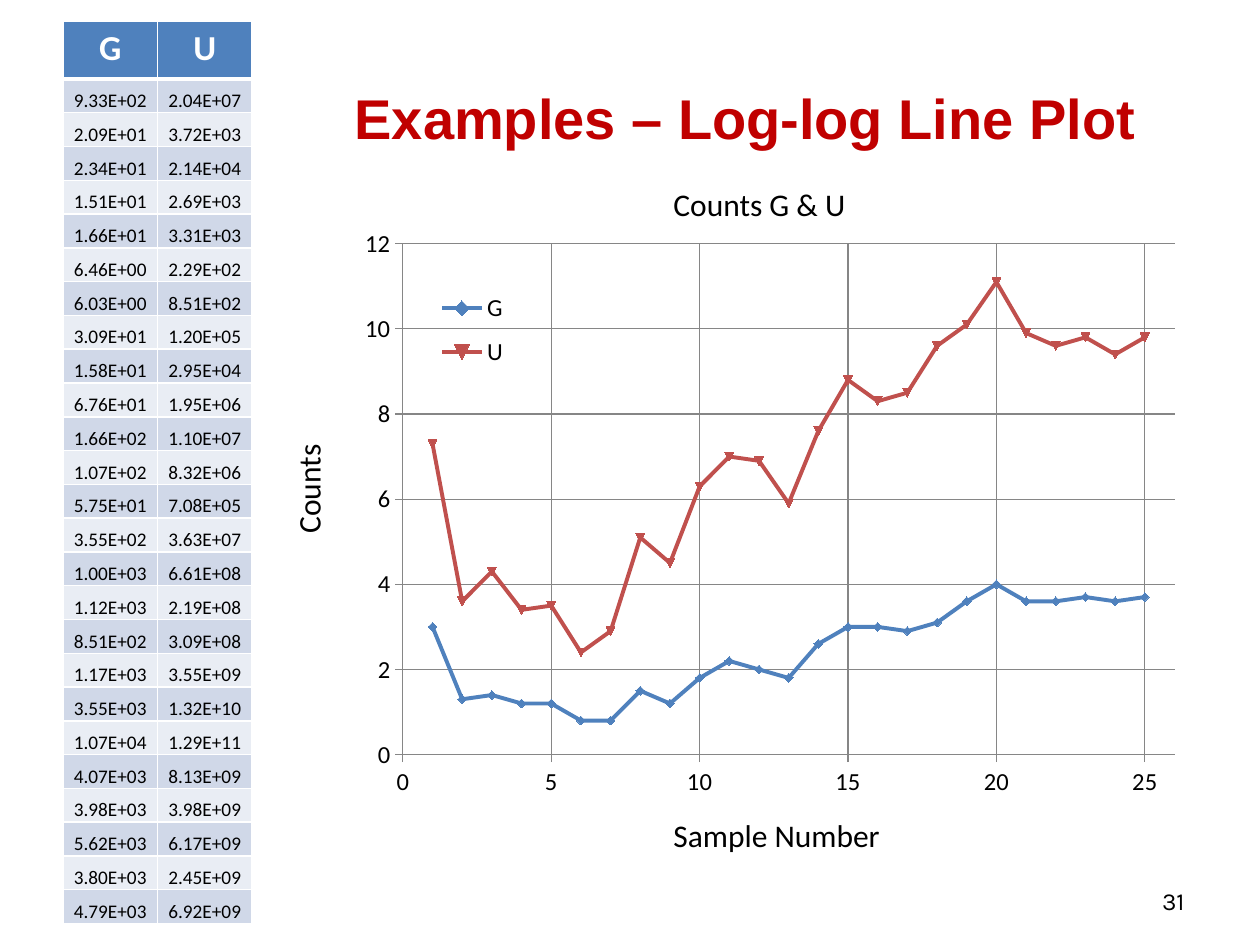
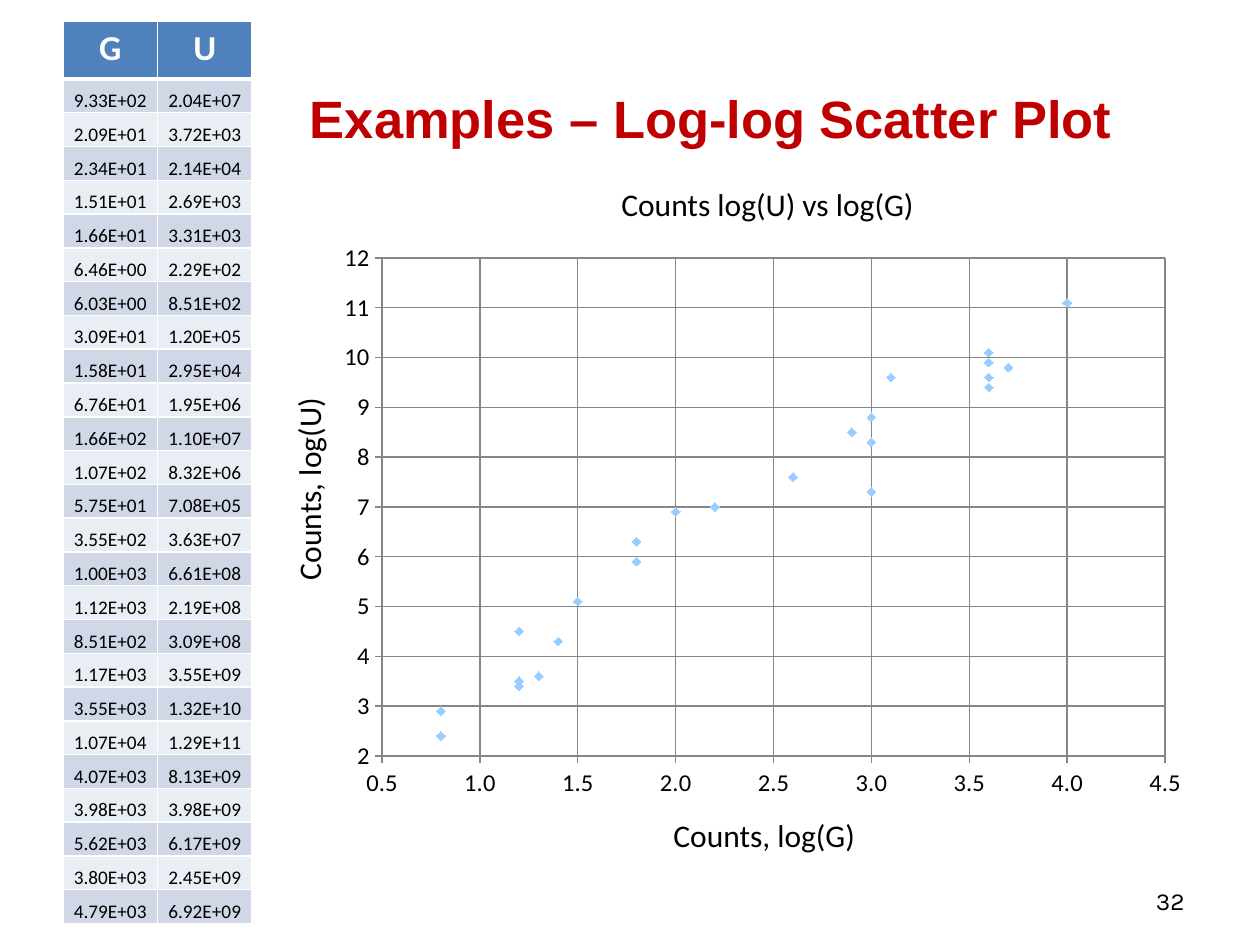
from math import log10

from lxml import etree
from pptx import Presentation
from pptx.chart.data import XyChartData
from pptx.dml.color import RGBColor
from pptx.enum import chart as ch
from pptx.enum import text as tx
from pptx.oxml import parse_xml
from pptx.oxml.ns import nsdecls, qn
from pptx.util import Pt

BLACK, WHITE, RED, GRAY = "000000", "FFFFFF", "C00000", "868686"
BLUE, BRICK, SKY = "4F81BD", "C0504D", "99CCFF"
BANDS = ["D0D8E8", "E9EDF4"]
BODY = "Calibri"
LEFT, MID, RIGHT = tx.PP_ALIGN.LEFT, tx.PP_ALIGN.CENTER, tx.PP_ALIGN.RIGHT

COUNTS = [
    ("9.33E+02", "2.04E+07"), ("2.09E+01", "3.72E+03"), ("2.34E+01", "2.14E+04"),
    ("1.51E+01", "2.69E+03"), ("1.66E+01", "3.31E+03"), ("6.46E+00", "2.29E+02"),
    ("6.03E+00", "8.51E+02"), ("3.09E+01", "1.20E+05"), ("1.58E+01", "2.95E+04"),
    ("6.76E+01", "1.95E+06"), ("1.66E+02", "1.10E+07"), ("1.07E+02", "8.32E+06"),
    ("5.75E+01", "7.08E+05"), ("3.55E+02", "3.63E+07"), ("1.00E+03", "6.61E+08"),
    ("1.12E+03", "2.19E+08"), ("8.51E+02", "3.09E+08"), ("1.17E+03", "3.55E+09"),
    ("3.55E+03", "1.32E+10"), ("1.07E+04", "1.29E+11"), ("4.07E+03", "8.13E+09"),
    ("3.98E+03", "3.98E+09"), ("5.62E+03", "6.17E+09"), ("3.80E+03", "2.45E+09"),
    ("4.79E+03", "6.92E+09"),
]
LOG_G, LOG_U = ([round(log10(float(n)), 1) for n in col] for col in zip(*COUNTS))


def px(n):
    """Turn pixels into EMU at 126 to the inch."""
    return round(n * 914400 / 126)


def rgb(code):
    """Turn a hex string into a colour."""
    return RGBColor.from_string(code)


def style(font, size, color=BLACK, name=BODY, bold=False):
    """Set the look of a font."""
    font.size, font.name, font.bold = Pt(size), name, bold
    font.color.rgb = rgb(color)


def label(slide, box, words, size=18, color=BLACK, name=BODY, bold=False,
          align=LEFT, anchor=tx.MSO_ANCHOR.TOP, wrap=True, turn=0, inset=0):
    """Add a line of text in a box."""
    shape = slide.shapes.add_textbox(*map(px, box))
    shape.rotation = turn
    frame = shape.text_frame
    frame.word_wrap, frame.vertical_anchor = wrap, anchor
    frame.margin_left += px(inset)
    para = frame.paragraphs[0]
    para.text, para.alignment = words, align
    style(para.font, size, color, name, bold)


def heading(slide, words, size, inset):
    """Add the slide title, centred to the right of an inset."""
    label(slide, (84, 38, 1071, 158), words, size, RED, "Arial", True, MID,
          tx.MSO_ANCHOR.MIDDLE, inset=inset)


def footer(slide, number):
    """Add the slide number."""
    label(slide, (903, 876, 294, 50), number, 14, name="Karla", align=RIGHT,
          anchor=tx.MSO_ANCHOR.MIDDLE)


def edges(cell, top, base):
    """Draw white borders round a cell, with top and base in points."""
    props = cell._tc.get_or_add_tcPr()
    for side, width in zip("LRTB", (1, 1, top, base)):
        props.append(parse_xml(
            f'<a:ln{side} {nsdecls("a")} w="{Pt(width)}"><a:solidFill>'
            f'<a:srgbClr val="{WHITE}"/></a:solidFill></a:ln{side}>'))


def fill_cell(cell, words, row):
    """Write and paint one cell of the count table."""
    head = row == 0
    edges(cell, 3 if row == 1 else 1, 3 if head else 1)
    cell.fill.solid()
    cell.fill.fore_color.rgb = rgb(BLUE if head else BANDS[(row - 1) % 2])
    para = cell.text_frame.paragraphs[0]
    para.text, para.alignment = words, MID
    if head:
        style(para.font, 20, WHITE, bold=True)
    else:
        style(para.font, 11)
        cell.vertical_anchor = tx.MSO_ANCHOR.BOTTOM
        cell.margin_left = cell.margin_right = cell.margin_top = px(1)
        cell.margin_bottom = 0


def count_table(slide, box, head=58):
    """Add the table of G and U counts."""
    rows = [("G", "U")] + COUNTS
    table = slide.shapes.add_table(len(rows), 2, *map(px, box)).table
    table.horz_banding = False
    for col in table.columns:
        col.width = px(box[2]) // 2
    for i, (line, words) in enumerate(zip(table.rows, rows)):
        line.height = px(box[3] - head) // len(COUNTS) if i else px(head)
        for cell, word in zip(line.cells, words):
            fill_cell(cell, word, i)


def layout(parent, box, inner=False):
    """Place a plot area or legend by fractions of the chart."""
    for old in parent.findall(qn("c:layout")):
        parent.remove(old)
    node = etree.Element(qn("c:layout"))
    manual = etree.SubElement(node, qn("c:manualLayout"))
    parts = [("layoutTarget", "inner")] if inner else []
    parts += [("xMode", "edge"), ("yMode", "edge"), *zip("xywh", box)]
    for tag, val in parts:
        etree.SubElement(manual, qn("c:" + tag)).set("val", str(val))
    pos = parent.find(qn("c:legendPos"))
    if pos is None:
        parent.insert(0, node)
    else:
        pos.addnext(node)


def scale(axis, low, high, step, form):
    """Set the range, labels and grid of an axis."""
    axis.minimum_scale, axis.maximum_scale, axis.major_unit = low, high, step
    axis.has_major_gridlines, axis.has_title = True, False
    for line in (axis.format.line, axis.major_gridlines.format.line):
        line.color.rgb, line.width = rgb(GRAY), Pt(0.75)
    axis.major_tick_mark = ch.XL_TICK_MARK.OUTSIDE
    axis.minor_tick_mark = ch.XL_TICK_MARK.NONE
    ticks = axis.tick_labels
    ticks.number_format, ticks.number_format_is_linked = form, False
    style(ticks.font, 14)


def plot(slide, box, kind, rows, area, across, up):
    """Add an XY chart of named rows of points and return it."""
    data = XyChartData()
    for name, xs, ys in rows:
        series = data.add_series(name)
        for x, y in zip(xs, ys):
            series.add_data_point(x, y)
    chart = slide.shapes.add_chart(kind, *map(px, box), data).chart
    chart.has_title = chart.has_legend = False
    style(chart.font, 10)
    chart.plots[0].vary_by_categories = False
    scale(chart.category_axis, *across)
    scale(chart.value_axis, *up)
    layout(chart._chartSpace.chart.plotArea, area, True)
    return chart


def line_plot(slide, box):
    """Add the line chart of log counts by sample, with its legend."""
    nums = range(1, len(COUNTS) + 1)
    chart = plot(slide, box, ch.XL_CHART_TYPE.XY_SCATTER_LINES,
                 [("G", nums, LOG_G), ("U", nums, LOG_U)],
                 (0.08, 0.063, 0.884, 0.81), (0, 26, 5, "0"), (0, 12, 2, "0"))
    for series, color in zip(chart.plots[0].series, (BLUE, BRICK)):
        series.smooth = False
        line = series.format.line
        line.color.rgb, line.width = rgb(color), Pt(2.25)
        series.marker.size = 5
        series.marker.format.fill.solid()
        series.marker.format.fill.fore_color.rgb = rgb(color)
    chart.has_legend = True
    chart.legend.include_in_layout = False
    style(chart.legend.font, 14)
    layout(chart.legend._element, (0.11, 0.12, 0.1, 0.16))


def dot_plot(slide, box):
    """Add the scatter chart of log U against log G."""
    chart = plot(slide, box, ch.XL_CHART_TYPE.XY_SCATTER,
                 [("Series 1", LOG_G, LOG_U)], (0.053, 0.05, 0.919, 0.889),
                 (0.5, 4.5, 0.5, "0.0"), (2, 12, 1, "0"))
    series = chart.plots[0].series[0]
    series.smooth = False
    series.format.line.fill.background()
    mark = series.marker
    mark.style, mark.size = ch.XL_MARKER_STYLE.DIAMOND, 5
    mark.format.fill.solid()
    mark.format.fill.fore_color.rgb = rgb(SKY)
    mark.format.line.fill.background()


def page(deck, number, title, draw, box, names):
    """Build a slide: table, title, chart and the chart's three names."""
    slide = deck.slides.add_slide(deck.slide_layouts[6])
    footer(slide, number)
    heading(slide, *title)
    count_table(slide, (63, 21, 189, 903))
    draw(slide, box)
    (top, x, wide), (side, tall), (base, span) = names
    label(slide, (x, 179, wide, 50), top)
    label(slide, (308 - tall // 2, 463, tall, 50), side, wrap=False, turn=270)
    label(slide, (661, 810, span, 50), base, wrap=False)


def main():
    """Build the deck."""
    deck = Presentation()
    deck.slide_width, deck.slide_height = px(1260), px(945)
    page(deck, "31", ("Examples – Log-log Line Plot", 32, 252),
         line_plot, (333, 204, 873, 631),
         [("Counts G & U", 661, 220), ("Counts", 116), ("Sample Number", 234)])
    page(deck, "32", ("Examples – Log-log Scatter Plot", 30, 183),
         dot_plot, (337, 230, 852, 568),
         [("Counts log(U) vs log(G)", 609, 325), ("Counts, log(U)", 209),
          ("Counts, log(G)", 209)])
    deck.save("out.pptx")


if __name__ == "__main__":
    main()
